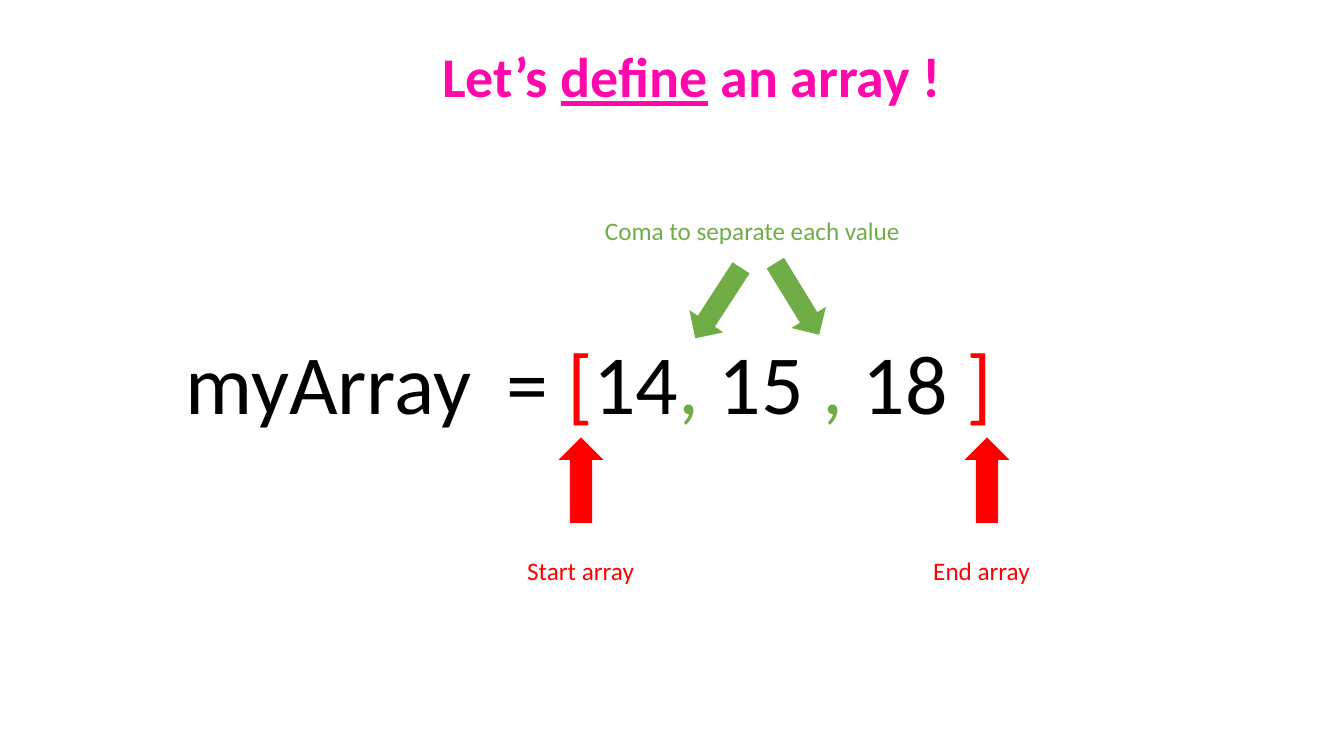
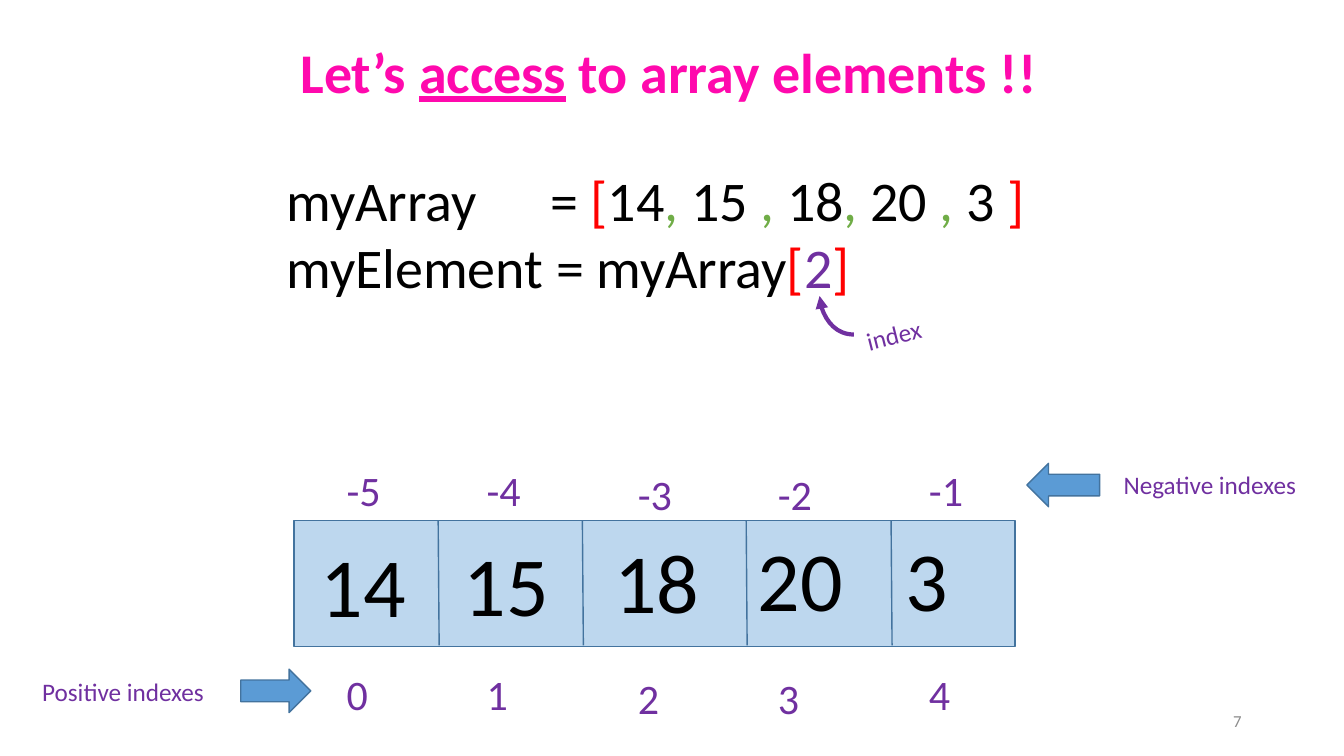
from itertools import groupby

from lxml import etree
from pptx import Presentation
from pptx.dml.color import RGBColor
from pptx.enum.shapes import MSO_CONNECTOR, MSO_SHAPE
from pptx.enum.text import MSO_ANCHOR, MSO_AUTO_SIZE, PP_ALIGN
from pptx.oxml.ns import qn
from pptx.util import Pt

BLACK = RGBColor(0x00, 0x00, 0x00)
RED = RGBColor(0xFF, 0x00, 0x00)
GREEN = RGBColor(0x70, 0xAD, 0x47)
PINK = RGBColor(0xFF, 0x09, 0xAD)
PURPLE = RGBColor(0x70, 0x30, 0xA0)
GREY = RGBColor(0x8C, 0x8C, 0x8C)
BLUE = RGBColor(0x5B, 0x9B, 0xD5)
LIGHT_BLUE = RGBColor(0xBD, 0xD7, 0xEE)
DARK_BLUE = RGBColor(0x43, 0x73, 0x9E)
SYNTAX = {"[": RED, "]": RED, ",": GREEN}

CENTER, RIGHT = PP_ALIGN.CENTER, PP_ALIGN.RIGHT
MIDDLE = MSO_ANCHOR.MIDDLE
NO_AUTOFIT = MSO_AUTO_SIZE.NONE
STRAIGHT, CURVE = MSO_CONNECTOR.STRAIGHT, MSO_CONNECTOR.CURVE
RECTANGLE = MSO_SHAPE.RECTANGLE
UP, DOWN = MSO_SHAPE.UP_ARROW, MSO_SHAPE.DOWN_ARROW
LEFT_ARROW, RIGHT_ARROW = MSO_SHAPE.LEFT_ARROW, MSO_SHAPE.RIGHT_ARROW


class ArrayLesson:
    font = "Calibri"
    title_size = 40
    label_size = 18
    title_only_layout = 5

    def __init__(self):
        self.deck = Presentation()
        self.deck.slide_width = Pt(960)
        self.deck.slide_height = Pt(540)
        self.slide = None

    def style(self, span, size, colour):
        span.font.name = self.font
        span.font.size = Pt(size)
        span.font.color.rgb = colour

    def new_slide(self, before, keyword, after, left, top, width):
        layout = self.deck.slide_layouts[self.title_only_layout]
        self.slide = self.deck.slides.add_slide(layout)
        title = self.slide.shapes.title
        title.left, title.top, title.width, title.height = map(Pt, (left, top, width, 55.5))
        title.text_frame.word_wrap = False
        title.text_frame.auto_size = NO_AUTOFIT
        para = title.text_frame.paragraphs[0]
        para.alignment = CENTER
        for text in (before, keyword, after):
            span = para.add_run()
            span.text = text
            self.style(span, self.title_size, PINK)
            span.font.bold = True
            span.font.underline = text == keyword

    def label(self, text, left, top, width, height, colour, size=label_size):
        box = self.slide.shapes.add_textbox(*map(Pt, (left, top, width, height)))
        box.text_frame.text = text
        self.style(box.text_frame.paragraphs[0].runs[0], size, colour)
        return box

    def code(self, lines, left, top, width, height, size, tab):
        box = self.slide.shapes.add_textbox(*map(Pt, (left, top, width, height)))
        frame = box.text_frame
        frame.word_wrap = True
        for number, line in enumerate(lines):
            para = frame.add_paragraph() if number else frame.paragraphs[0]
            if "\t" in line:
                self.tab_stop(para, tab)
            for colour, symbols in groupby(line, lambda symbol: SYNTAX.get(symbol, BLACK)):
                span = para.add_run()
                span.text = "".join(symbols)
                self.style(span, size, colour)
        return frame

    def tab_stop(self, para, position):
        properties = para._p.get_or_add_pPr()
        stops = etree.SubElement(properties, qn("a:tabLst"))
        etree.SubElement(stops, qn("a:tab"), pos=str(Pt(position)), algn="l")

    def shape(self, kind, left, top, width, height, fill, line=None, rotation=0):
        shape = self.slide.shapes.add_shape(kind, *map(Pt, (left, top, width, height)))
        shape.shadow.inherit = False
        shape.rotation = rotation
        shape.fill.solid()
        shape.fill.fore_color.rgb = fill
        if line is None:
            shape.line.fill.background()
        else:
            shape.line.color.rgb = line
            shape.line.width = Pt(1)

    def connector(self, kind, start, end, colour, weight):
        connector = self.slide.shapes.add_connector(kind, *map(Pt, start + end))
        connector.line.color.rgb = colour
        connector.line.width = Pt(weight)
        etree.SubElement(connector.element.spPr, qn("a:effectLst"))
        return connector

    def curved_arrow(self, start, end, colour, weight):
        connector = self.connector(CURVE, start, end, colour, weight)
        properties = connector.element.spPr
        properties.find(qn("a:prstGeom")).set("prst", "curvedConnector2")
        etree.SubElement(properties.find(qn("a:ln")), qn("a:tailEnd"), type="triangle")

    def slide_number(self, text):
        box = self.label(text, 678, 500.5, 216, 29, GREY, 12)
        box.text_frame.word_wrap = True
        box.text_frame.auto_size = NO_AUTOFIT
        box.text_frame.vertical_anchor = MIDDLE
        box.text_frame.paragraphs[0].alignment = RIGHT


def define_slide(lesson):
    lesson.new_slide("Let’s ", "define", " an array !", 306.5, 26, 375)
    lesson.code(["myArray\t= [14, 15 , 18 ]"], 125.5, 232.5, 640, 80, 60, 229.5)
    for text, left, width in (("Start array", 369.5, 91.5), ("End array", 659.5, 84)):
        lesson.shape(UP, left + 29.5, 312.5, 32, 61, RED)
        lesson.label(text, left, 393, width, 29, RED)
    lesson.label("Coma to separate each value", 425, 150, 227.5, 29, GREEN)
    for left, top, rotation in ((498.5, 186.5, 33), (555, 183.5, 328.5)):
        lesson.shape(DOWN, left, top, 29, 60, GREEN, rotation=rotation)


def access_slide(lesson):
    lesson.new_slide("Let’s ", "access", " to array elements !!", 204.5, 23, 546)
    frame = lesson.code(
        ["myArray\t= [14, 15 , 18, 20 , 3 ]", "myElement = myArray[2]"],
        197.5, 114.5, 600, 104.5, 40, 188.5)
    frame.paragraphs[1].runs[2].font.color.rgb = PURPLE
    lesson.label("index", 611.5, 224.5, 54.5, 29, PURPLE).rotation = 345.9
    lesson.curved_arrow((610, 239), (585.5, 211.5), PURPLE, 3)

    lesson.shape(RECTANGLE, 210, 372, 515, 90, LIGHT_BLUE, DARK_BLUE)
    for left in (313, 416, 533, 636.5):
        lesson.connector(STRAIGHT, (left, 372), (left + 0.7, 461), DARK_BLUE, 1)

    cells = (
        ("14", 222, 377.5, 75.5, 240.5, 328.5),
        ("15", 324, 376.5, 75.5, 340.5, 328.5),
        ("18", 431.5, 375, 75.5, 448.5, 331),
        ("20", 534, 373.5, 75.5, 548.5, 331),
        ("3", 640, 373.5, 45.5, 656.5, 328.5),
    )
    for index, (value, left, top, width, index_left, index_top) in enumerate(cells):
        lesson.label(value, left, top, width, 80, BLACK, 60)
        lesson.label(str(index - len(cells)), index_left, index_top, 39, 44, PURPLE, 30)
        lesson.label(str(index), index_left, index_top + 145.5, 30, 44, PURPLE, 30)

    lesson.shape(LEFT_ARROW, 733.5, 331, 52, 31, BLUE, DARK_BLUE)
    lesson.label("Negative indexes", 795.5, 332, 139.5, 29, PURPLE)
    lesson.shape(RIGHT_ARROW, 172, 478, 50, 31, BLUE, DARK_BLUE)
    lesson.label("Positive indexes", 23, 479.5, 132, 29, PURPLE)
    lesson.slide_number("7")


def main():
    lesson = ArrayLesson()
    define_slide(lesson)
    access_slide(lesson)
    lesson.deck.save("out.pptx")


if __name__ == "__main__":
    main()
